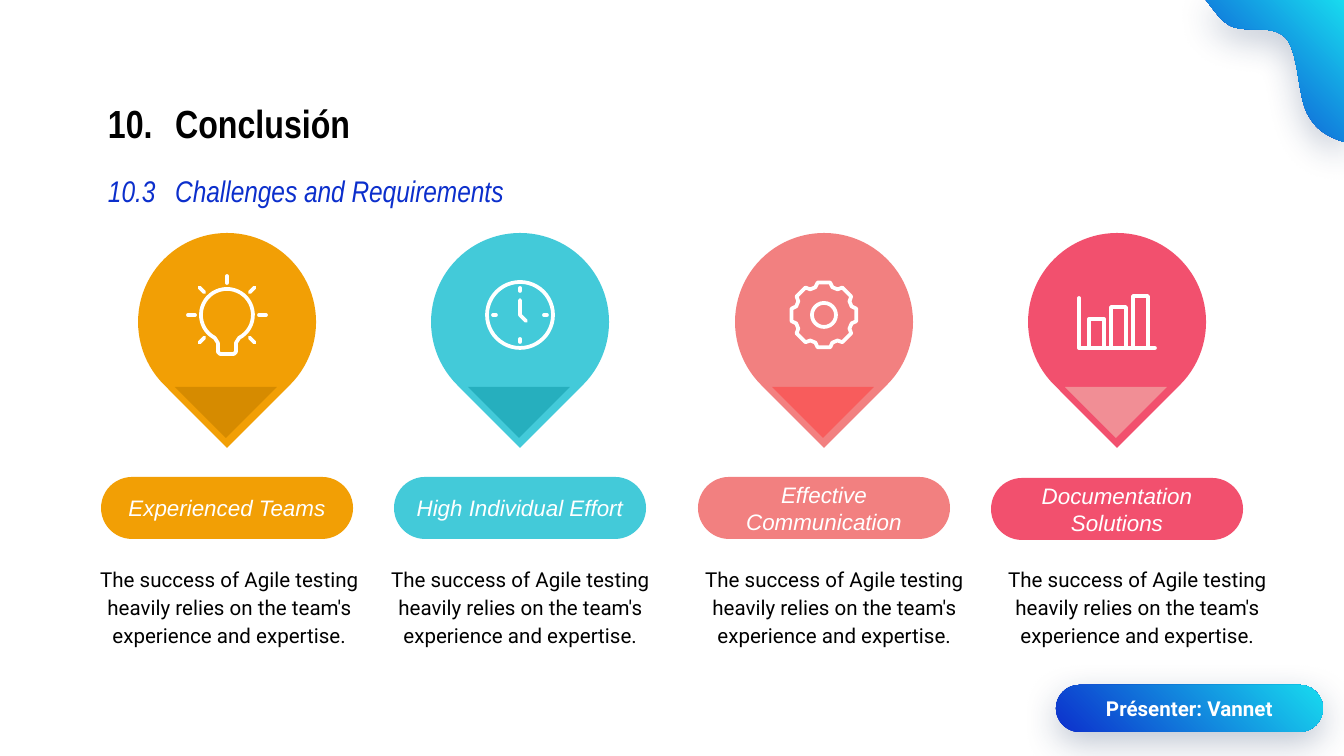
from math import cos, radians, sin

from lxml import etree
from pptx import Presentation
from pptx.dml.color import RGBColor
from pptx.enum.shapes import MSO_CONNECTOR, MSO_SHAPE as SHAPE
from pptx.enum.text import MSO_ANCHOR as ANCHOR, MSO_AUTO_SIZE, PP_ALIGN as ALIGN
from pptx.oxml import parse_xml
from pptx.oxml.ns import nsdecls, qn
from pptx.util import Pt

PX = 914400 / 134.4
WHITE, BLACK, BLUE, CYAN = "FFFFFF", "000000", "0C2FCC", "18DBEF"
ICON_Y = 315
BODY = "The success of Agile testing heavily relies on the team's experience and expertise."


def px(*values):
    return [round(v * PX) for v in values]


def rgb(value):
    return RGBColor.from_string(value)


def polar(cx, cy, radius, degrees):
    return cx + radius * cos(radians(degrees)), cy + radius * sin(radians(degrees))


def write(shape, text, font, size, color, align=ALIGN.CENTER, bold=False, italic=False,
          insets=(13, 13, 13, 13), anchor=ANCHOR.MIDDLE, spacing=1.0):
    tf = shape.text_frame
    tf.word_wrap, tf.auto_size, tf.vertical_anchor = True, MSO_AUTO_SIZE.NONE, anchor
    tf.margin_left, tf.margin_top, tf.margin_right, tf.margin_bottom = px(*insets)
    tf.text = text
    p = tf.paragraphs[0]
    p.alignment, p.line_spacing, p.space_before = align, spacing, Pt(0)
    f = p.runs[0].font
    f.name, f.size, f.bold, f.italic = font, Pt(size), bold, italic
    f.color.rgb = rgb(color)


def add_solid(shapes, kind, box, color):
    shape = shapes.add_shape(kind, *px(*box))
    shape.shadow.inherit = False
    shape.fill.solid()
    shape.fill.fore_color.rgb = rgb(color)
    shape.line.fill.background()
    return shape


def add_freeform(shapes, points, close=True):
    start, *rest = [px(*point) for point in points]
    builder = shapes.build_freeform(*start, scale=1.0)
    builder.add_line_segments(rest, close=close)
    shape = builder.convert_to_shape()
    shape.shadow.inherit = False
    return shape


def stroke(shape):
    """Give a shape the round white 2 pt line of the icons."""
    shape.line.color.rgb = rgb(WHITE)
    shape.line.width = Pt(2)
    ln = shape.line._get_or_add_ln()
    ln.set("cap", "rnd")
    etree.SubElement(ln, qn("a:round"))


def add_outline(shapes, kind, box):
    shape = add_solid(shapes, kind, box, WHITE)
    shape.fill.background()
    stroke(shape)


def add_ring(shapes, cx, cy, radius):
    add_outline(shapes, SHAPE.OVAL, (cx - radius, cy - radius, 2 * radius, 2 * radius))


def add_path(shapes, points, close=True):
    shape = add_freeform(shapes, points, close)
    shape.fill.background()
    stroke(shape)


def add_rays(shapes, cx, cy, inner, outer, angles):
    for angle in angles:
        ends = polar(cx, cy, inner, angle) + polar(cx, cy, outer, angle)
        ray = shapes.add_connector(MSO_CONNECTOR.STRAIGHT, *px(*ends))
        stroke(ray)
        etree.SubElement(ray._element.spPr, qn("a:effectLst"))


def draw_bulb(shapes, cx, cy):
    glass = [polar(cx, cy, 26, a) for a in range(118, 423, 8)]
    neck = [(9, 28), (9, 37), (7, 39), (-7, 39), (-9, 37), (-9, 28)]
    add_path(shapes, glass + [(cx + x, cy + y) for x, y in neck])
    add_rays(shapes, cx, cy, 32, 39, [a for a in range(0, 360, 45) if a != 90])


def draw_clock(shapes, cx, cy):
    add_ring(shapes, cx, cy, 33)
    add_rays(shapes, cx, cy, 24, 27, range(0, 360, 90))
    add_path(shapes, [(cx, cy - 15), (cx, cy), (cx + 6, cy + 6)], close=False)


def draw_gear(shapes, cx, cy):
    tooth = [(-11, 33), (11, 33), (17, 29), (28, 29)]
    add_path(shapes, [polar(cx, cy, radius, turn + angle)
                      for turn in range(0, 360, 45) for angle, radius in tooth])
    add_ring(shapes, cx, cy, 12)


def draw_bars(shapes, cx, cy):
    base = 33
    for i, top in enumerate((4, -8, -19)):
        add_outline(shapes, SHAPE.RECTANGLE, (cx - 28 + 22 * i, cy + top, 15, base - top))
    axis = [(-38, -17), (-38, base), (38, base)]
    add_path(shapes, [(cx + x, cy + y) for x, y in axis], close=False)


def add_pin(s, cx, color, tip_color):
    pin = s.shapes.add_group_shape().shapes
    add_solid(pin, SHAPE.TEAR, (cx - 89, 233, 178, 178), color).rotation = 135
    add_solid(pin, SHAPE.FLOWCHART_MERGE, (cx - 52, 387, 102, 51), tip_color)


def add_pill(s, box, color):
    pill = add_solid(s.shapes, SHAPE.ROUNDED_RECTANGLE, box, color)
    pill.adjustments[0] = 0.5
    return pill


def decorate(shape):
    """Apply the blue gradient and the soft shadow below."""
    shape.line.fill.background()
    shape.fill.gradient()
    shape.fill.gradient_angle = 45
    for stop, position, color in zip(shape.fill.gradient_stops, (0, 1), (BLUE, CYAN)):
        stop.position, stop.color.rgb = position, rgb(color)
    shape._element.spPr.find(qn("a:effectLst")).append(parse_xml(
        f'<a:outerShdw {nsdecls("a")} blurRad="{Pt(19)}" dist="{Pt(6)}" dir="5400000" '
        'algn="t" rotWithShape="0"><a:srgbClr val="1F3864"><a:alpha val="28000"/>'
        '</a:srgbClr></a:outerShdw>'))


def bezier(p0, p1, p2, p3, steps=12):
    """Sample a cubic curve, leaving out its start."""
    for t in (i / steps for i in range(1, steps + 1)):
        u = 1 - t
        yield tuple(u**3 * a + 3 * u * u * t * b + 3 * u * t * t * c + t**3 * d
                    for a, b, c, d in zip(p0, p1, p2, p3))


def add_corner_wave(s):
    points = [(1206, 0)]
    for curve in (((1213, 9), (1220, 19), (1226, 23)),
                  ((1241, 36), (1271, 22), (1286, 38)),
                  ((1300, 54), (1297, 101), (1310, 118)),
                  ((1318, 132), (1332, 138), (1344, 142))):
        points += bezier(points[-1], *curve)
    decorate(add_freeform(s.shapes, points + [(1344, 0)]))


def add_headings(s):
    title = s.shapes.title
    title.left, title.top, title.width, title.height = px(95, 90, 911, 71)
    write(title, "10.\tConclusión", "Arial Narrow", 21, BLACK, ALIGN.LEFT,
          bold=True, spacing=0.9)
    subtitle = s.shapes.add_textbox(*px(95, 157, 911, 71))
    write(subtitle, "10.3\tChallenges and Requirements", "Arial Narrow", 16, BLUE,
          ALIGN.LEFT, italic=True, spacing=0.9)


def main():
    prs = Presentation()
    prs.slide_width, prs.slide_height = px(1344, 756)
    s = prs.slides.add_slide(prs.slide_layouts[5])
    add_headings(s)
    columns = [
        (227, 95, 477, "F29F05", "D68B00", draw_bulb, "Experienced Teams"),
        (520, 386, 477, "43CAD9", "26AFBE", draw_clock, "High Individual Effort"),
        (824, 700, 477, "F28080", "F85C5C", draw_gear, "Effective Communication"),
        (1117, 1003, 478, "F2506E", "F18E95", draw_bars, "Documentation Solutions"),
    ]
    for cx, body_left, pill_top, color, tip_color, draw_icon, label in columns:
        add_pin(s, cx, color, tip_color)
        draw_icon(s.shapes.add_group_shape().shapes, cx, ICON_Y)
        pill = add_pill(s, (cx - 126, pill_top, 252, 62), color)
        write(pill, label, "Arial", 12, WHITE, italic=True)
        body = s.shapes.add_textbox(*px(body_left, 562, 269, 146))
        write(body, BODY, "Roboto", 11, BLACK, insets=(0, 1, 0, 0),
              anchor=ANCHOR.TOP, spacing=1.15)
    presenter = add_pill(s, (1056, 685, 267, 47), BLUE)
    decorate(presenter)
    write(presenter, "Présenter: Vannet", "Roboto", 11, WHITE, bold=True,
          insets=(13, 7, 13, 7))
    add_corner_wave(s)
    prs.save("out.pptx")


if __name__ == "__main__":
    main()
